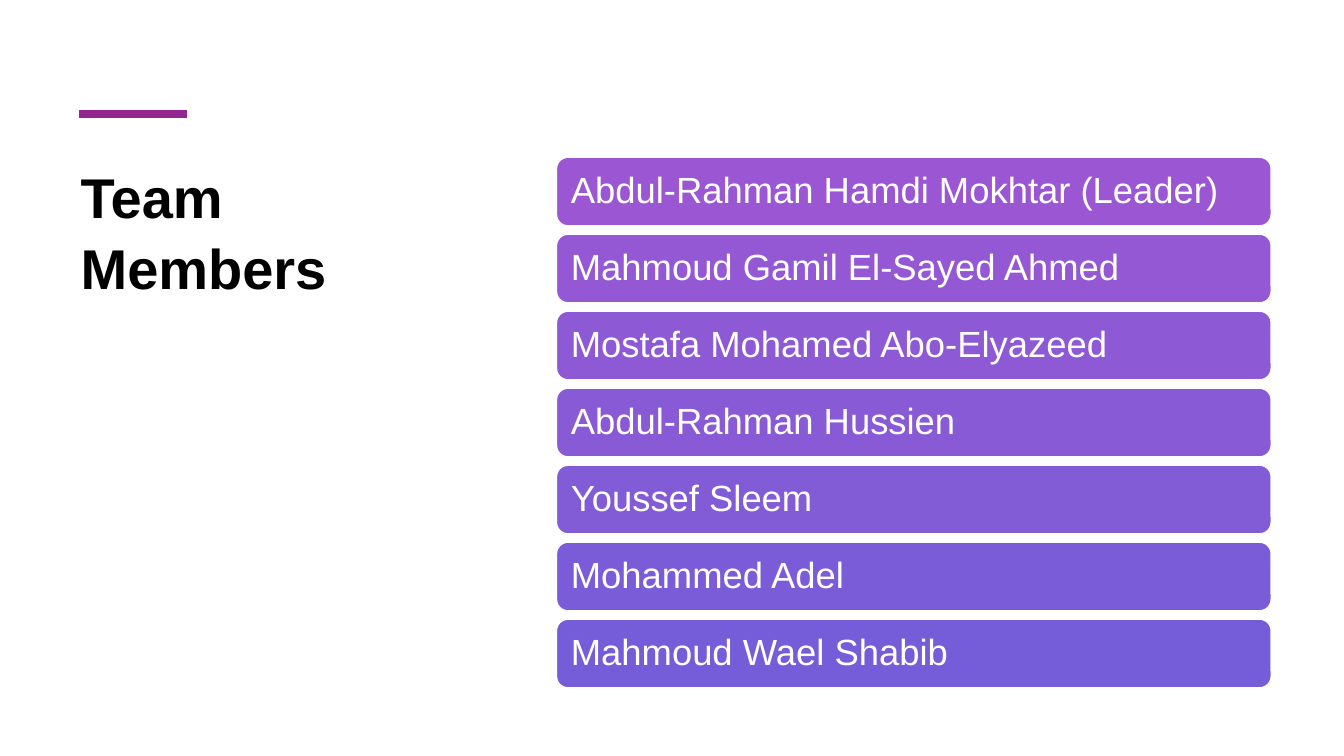
from lxml import etree
from pptx import Presentation
from pptx import util as u
from pptx.dml.color import RGBColor
from pptx.enum import shapes, text
from pptx.oxml.ns import qn

COLORS = {
    "ink": "000000",
    "paper": "FFFFFF",
    "accent": "92278F",
    "first": "9B57D3",
    "last": "755DD9",
}
MEMBERS = [
    "Abdul-Rahman Hamdi Mokhtar (Leader)",
    "Mahmoud Gamil El-Sayed Ahmed",
    "Mostafa Mohamed Abo-Elyazeed",
    "Abdul-Rahman Hussien",
    "Youssef Sleem",
    "Mohammed Adel",
    "Mahmoud Wael Shabib",
]


def rgb(name):
    return RGBColor.from_string(COLORS[name])


def blend(start, end, share):
    pairs = zip(rgb(start), rgb(end))
    return RGBColor(*(round(a + (b - a) * share) for a, b in pairs))


def write(frame, words, size, color, bold=False, spacing=1.0,
          anchor=text.MSO_ANCHOR.TOP, margins=(0.1, 0.05, 0.1, 0.05)):
    frame.word_wrap = True
    frame.auto_size = text.MSO_AUTO_SIZE.NONE
    frame.vertical_anchor = anchor
    (frame.margin_left, frame.margin_top,
     frame.margin_right, frame.margin_bottom) = map(u.Inches, margins)
    para = frame.paragraphs[0]
    para.alignment = text.PP_ALIGN.LEFT
    para.line_spacing = spacing
    span = para.add_run()
    span.text = words
    span.font.name = "Arial"
    span.font.size = u.Pt(size)
    span.font.bold = bold
    span.font.color.rgb = rgb(color)


class TeamPage:
    COLUMNS = 96
    ROWS = 54

    def __init__(self, deck):
        self.column = deck.slide_width / self.COLUMNS
        self.row = deck.slide_height / self.ROWS
        self.page = deck.slides.add_slide(deck.slide_layouts[5])
        self.page.background.fill.solid()
        self.page.background.fill.fore_color.rgb = rgb("paper")

    def place(self, left, top, width, height):
        return (round(left * self.column), round(top * self.row),
                round(width * self.column), round(height * self.row))

    def title(self, words, *cells):
        box = self.page.shapes.title
        box.left, box.top, box.width, box.height = self.place(*cells)
        write(box.text_frame, words, 40, "ink", bold=True, spacing=1.05,
              margins=(0.1, 0.08, 0.1, 0.05))

    def rule(self, left, top, width):
        x, y, length, _ = self.place(left, top, width, 0)
        line = self.page.shapes.add_connector(
            shapes.MSO_CONNECTOR.STRAIGHT, x, y, x + length, y)
        line.line.color.rgb = rgb("accent")
        line.line.width = u.Pt(6)
        etree.SubElement(line._element.spPr, qn("a:effectLst"))

    def bar(self, words, fill, *cells):
        box = self.page.shapes.add_shape(
            shapes.MSO_SHAPE.ROUNDED_RECTANGLE, *self.place(*cells))
        box.shadow.inherit = False
        box.fill.solid()
        box.fill.fore_color.rgb = fill
        box.line.color.rgb = rgb("paper")
        box.line.width = u.Pt(1)
        write(box.text_frame, words, 26, "paper", spacing=0.9,
              anchor=text.MSO_ANCHOR.MIDDLE, margins=(0.11,) * 4)


def main():
    deck = Presentation()
    deck.slide_width = u.Inches(13.33)
    deck.slide_height = u.Inches(7.5)
    team = TeamPage(deck)
    team.title("Team Members", 5.04, 10.8, 28.95, 30.9)
    team.rule(5.65, 8.15, 7.7)
    for index, member in enumerate(MEMBERS):
        fill = blend("first", "last", index / (len(MEMBERS) - 1))
        team.bar(member, fill, 39.75, 11.23 + 5.5 * index, 51.05, 4.9)
    deck.save("out.pptx")


if __name__ == "__main__":
    main()
